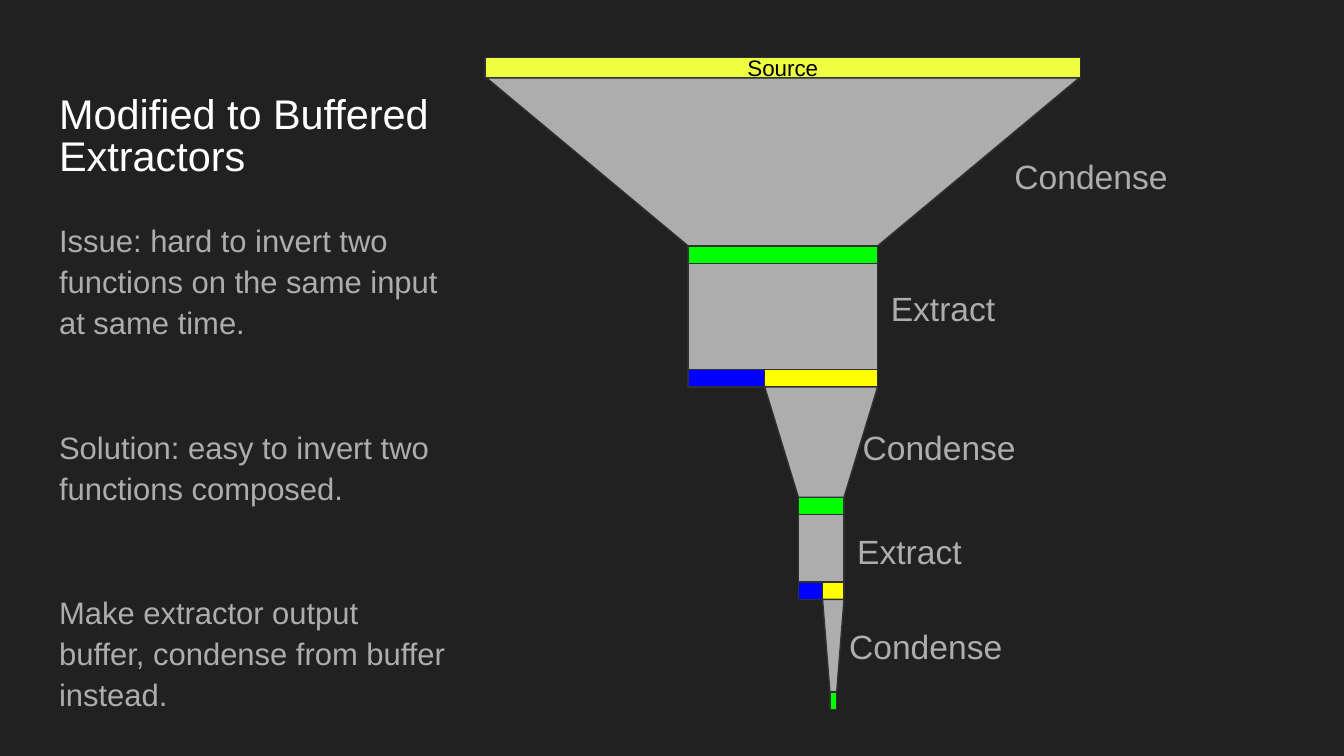
from pptx import Presentation
from pptx.dml.color import RGBColor
from pptx.enum.shapes import MSO_SHAPE
from pptx.enum.text import MSO_ANCHOR, MSO_AUTO_SIZE, PP_ALIGN
from pptx.oxml.ns import qn
from pptx.util import Inches, Pt

RECTANGLE, TRAPEZOID = MSO_SHAPE.RECTANGLE, MSO_SHAPE.TRAPEZOID
TOP, MIDDLE, BOTTOM = MSO_ANCHOR.TOP, MSO_ANCHOR.MIDDLE, MSO_ANCHOR.BOTTOM
LEFT, CENTER = PP_ALIGN.LEFT, PP_ALIGN.CENTER
NO_AUTOFIT = MSO_AUTO_SIZE.NONE

BACKGROUND = RGBColor(0x21, 0x21, 0x21)
OUTLINE = RGBColor(0x30, 0x30, 0x30)
GRAY = RGBColor(0xAD, 0xAD, 0xAD)
WHITE = RGBColor(0xFF, 0xFF, 0xFF)
BLACK = RGBColor(0, 0, 0)
LIME = RGBColor(0xEE, 0xFF, 0x41)
GREEN = RGBColor(0, 0xFF, 0)
BLUE = RGBColor(0, 0, 0xFF)
YELLOW = RGBColor(0xFF, 0xFF, 0)

FONT = "Arial"
BAR = 0.13  # height of every data bar, inches
COLUMN_LEFT, COLUMN_WIDTH = 0.34, 3.07
BODY_TEXTS = [
    "Issue: hard to invert two functions on the same input at same time.",
    "Solution: easy to invert two functions composed.",
    "Make extractor output buffer, condense from buffer instead.",
]
# Condense: height, output width, label left and top
# Extract: height, buffer width, label left and top
STAGES = [
    ("Condense", 1.25, 1.41, 7.45, 1.06),
    ("Extract", 0.79, 0.57, 6.53, 2.04),
    ("Condense", 0.82, 0.34, 6.32, 3.08),
    ("Extract", 0.5, 0.18, 6.28, 3.85),
    ("Condense", 0.69, 0.05, 6.22, 4.56),
]
LABEL_WIDTHS = {"Condense": 1.86, "Extract": 1.66}


def set_text(shape, texts, *, size, color, anchor=TOP, align=LEFT,
             line_spacing=1.0, gap=0, margin_y=0.1):
    frame = shape.text_frame
    frame.word_wrap = True
    frame.auto_size = NO_AUTOFIT
    frame.vertical_anchor = anchor
    frame.margin_left = frame.margin_right = Inches(0.1)
    frame.margin_top = frame.margin_bottom = Inches(margin_y)
    for index, text in enumerate(texts):
        para = frame.add_paragraph() if index else frame.paragraphs[0]
        properties = para._p.get_or_add_pPr()
        properties.set("marL", "0")
        properties.set("indent", "0")
        properties.append(properties.makeelement(qn("a:buNone"), {}))
        para.alignment = align
        para.line_spacing = line_spacing
        para.space_before = Pt(gap if index else 0)
        span = para.add_run()
        span.text = text
        span.font.name = FONT
        span.font.size = Pt(size)
        span.font.color.rgb = color


def place(shape, left, top, width, height):
    shape.left, shape.top = Inches(left), Inches(top)
    shape.width, shape.height = Inches(width), Inches(height)


def add_block(shapes, left, top, width, height, color, kind=RECTANGLE):
    block = shapes.add_shape(kind, Inches(left), Inches(top),
                             Inches(width), Inches(height))
    block.shadow.inherit = False
    block.fill.solid()
    block.fill.fore_color.rgb = color
    block.line.color.rgb = OUTLINE
    block.line.width = Pt(0.75)
    return block


def add_label(shapes, text, left, top):
    box = shapes.add_textbox(Inches(left), Inches(top),
                             Inches(LABEL_WIDTHS[text]), Inches(0.5))
    set_text(box, [text], size=18, color=GRAY)


def add_condense(shapes, left, top, width, height, output):
    """Draw a funnel onto a green bar; return the bar's left and width."""
    inset = (width - output) / 2
    funnel = add_block(shapes, left, top, width, height, GRAY, TRAPEZOID)
    funnel.rotation = 180
    funnel.adjustments[0] = inset / min(width, height)
    add_block(shapes, left + inset, top + height, output, BAR, GREEN)
    return left + inset, output


def add_extract(shapes, left, top, width, height, output):
    """Draw a block onto a split bar; return the yellow part's left and width."""
    add_block(shapes, left, top, width, height, GRAY)
    add_block(shapes, left, top + height, output, BAR, BLUE)
    add_block(shapes, left + output, top + height, width - output, BAR, YELLOW)
    return left + output, width - output


def add_pipeline(slide):
    source = add_block(slide.shapes, 3.61, 0.43, 4.43, 0.15, LIME)
    set_text(source, ["Source"], size=12, color=BLACK, anchor=MIDDLE,
             align=CENTER, margin_y=0.05)
    # Each stage hangs below the output of the one before
    left, top, width = 3.62, 0.58, 4.41
    for name, height, output, label_left, label_top in STAGES:
        shapes = slide.shapes.add_group_shape().shapes
        draw = add_condense if name == "Condense" else add_extract
        left, width = draw(shapes, left, top, width, height, output)
        add_label(shapes, name, label_left, label_top)
        top += height + BAR


def main():
    deck = Presentation()
    deck.slide_width, deck.slide_height = Inches(10), Inches(5.625)
    page = deck.slides.add_slide(deck.slide_layouts[1])
    page.background.fill.solid()
    page.background.fill.fore_color.rgb = BACKGROUND

    # Text column
    title, body = page.placeholders
    place(title, COLUMN_LEFT, 0.61, COLUMN_WIDTH, 0.83)
    set_text(title, ["Modified to Buffered Extractors"], size=22.2,
             color=WHITE, anchor=BOTTOM, line_spacing=0.84)
    place(body, COLUMN_LEFT, 1.52, COLUMN_WIDTH, 3.9)
    set_text(body, BODY_TEXTS, size=16.6, color=GRAY, line_spacing=1.1, gap=45)

    # Funnel diagram
    add_pipeline(page)
    deck.save("out.pptx")


if __name__ == "__main__":
    main()
